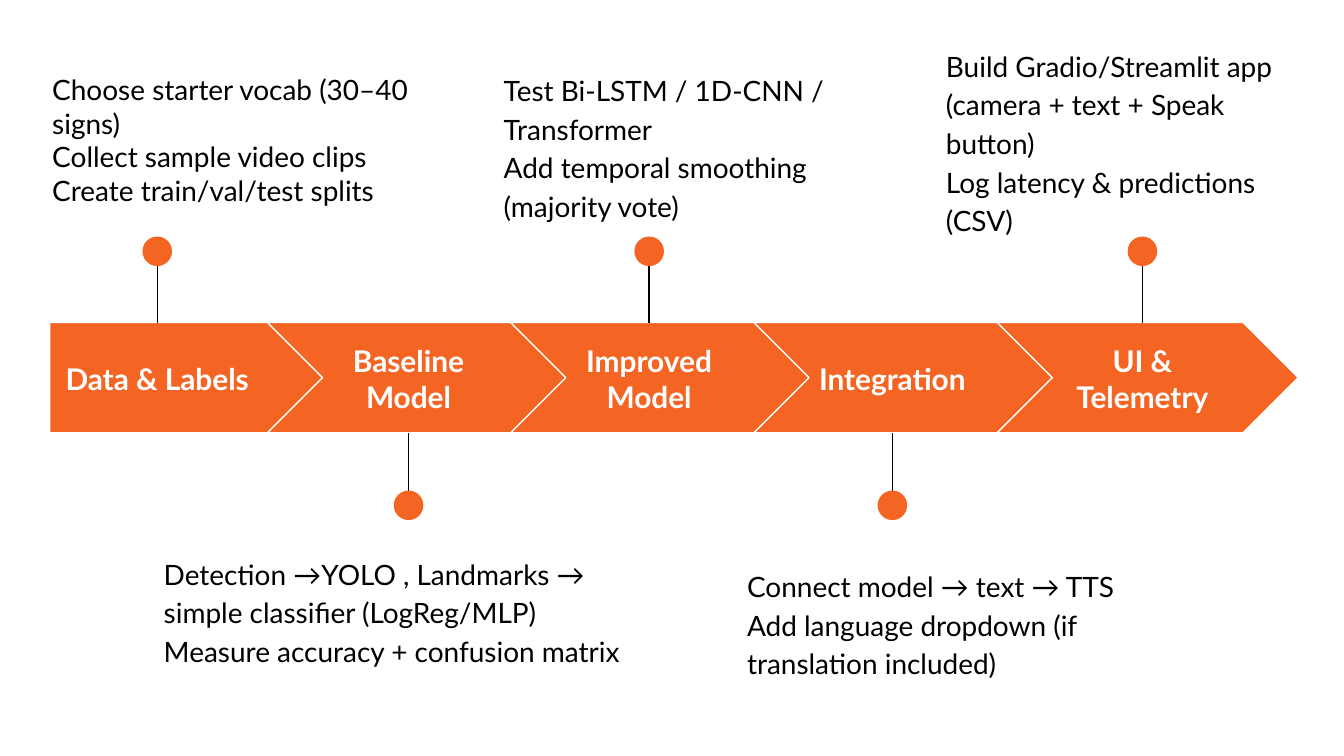
from pptx import Presentation
from pptx.dml.color import RGBColor
from pptx.enum.shapes import MSO_CONNECTOR as Link, MSO_SHAPE as Shape
from pptx.enum.text import MSO_ANCHOR as Anchor, PP_ALIGN as Align
from pptx.oxml.ns import qn
from pptx.util import Inches, Pt
from lxml.etree import SubElement

ORANGE = RGBColor(0xF4, 0x65, 0x24)
WHITE = RGBColor(0xFF, 0xFF, 0xFF)
BLACK = RGBColor(0x00, 0x00, 0x00)

TOP, HIGH = 2.4, 0.82       # arrow band
FIRST, STEP = 1.99, 1.81    # left of first chevron, distance to the next
DOT = 0.22
ABOVE, BELOW = 1.87, 3.76   # dot centres

# label, label width, centre, note box (left, top, width, height), spacing, note
STEPS = [
    ("Data & Labels", 1.59, 1.17, (0.29, 0.44, 3.22, 1.19), 1.0,
     "Choose starter vocab (30–40 signs)\nCollect sample video clips\n"
     "Create train/val/test splits"),
    ("Baseline Model", 1.44, 3.04, (1.12, 4.01, 3.6, 1.19), 1.15,
     "Detection →YOLO , Landmarks → simple classifier (LogReg/MLP)\n"
     "Measure accuracy + confusion matrix"),
    ("Improved Model", 1.44, 4.83, (3.65, 0.41, 3.16, 1.19), 1.15,
     "Test Bi-LSTM / 1D-CNN / Transformer\n"
     "Add temporal smoothing (majority vote)"),
    ("Integration", 1.44, 6.64, (5.46, 4.1, 3.02, 1.33), 1.15,
     "Connect model → text → TTS\n"
     "Add language dropdown (if translation included)"),
    ("UI & Telemetry", 1.44, 8.5, (6.94, 0.23, 2.93, 1.53), 1.15,
     "Build Gradio/Streamlit app (camera + text + Speak button)\n"
     "Log latency & predictions (CSV)"),
]


class Board:
    font = "Lato"

    def __init__(self, slide):
        self.shapes = slide.shapes

    def solid(self, kind, box):
        shape = self.shapes.add_shape(kind, *map(Inches, box))
        shape.shadow.inherit = False
        shape.fill.solid()
        shape.fill.fore_color.rgb = ORANGE
        shape.line.fill.background()
        return shape

    def arrow(self, kind, left, width):
        shape = self.solid(kind, (left, TOP, width, HIGH))
        shape.line.color.rgb = WHITE
        shape.line.width = Pt(0.75)

    def text(self, words, box, size, color):
        frame = self.shapes.add_textbox(*map(Inches, box)).text_frame
        frame.word_wrap = True
        frame.margin_left = frame.margin_right = Inches(0.1)
        frame.margin_top = frame.margin_bottom = Inches(0.1)
        para = frame.paragraphs[0]
        para.text = words
        para.font.name = self.font
        para.font.size = Pt(size)
        para.font.color.rgb = color
        return frame

    def label(self, words, mid, width):
        box = (mid - width / 2, 2.56, width, 0.51)
        frame = self.text(words, box, 16, WHITE)
        frame.vertical_anchor = Anchor.MIDDLE
        para = frame.paragraphs[0]
        para.alignment = Align.CENTER
        para.font.bold = True

    def note(self, words, box, space):
        frame = self.text(words, box, 15, BLACK)
        frame.paragraphs[0].line_spacing = space

    def pin(self, mid, dot, edge):
        """Draw a line from the arrow edge to a dot."""
        line = self.shapes.add_connector(
            Link.STRAIGHT, *map(Inches, (mid, dot, mid, edge)))
        line.line.color.rgb = BLACK
        line.line.width = Pt(0.75)
        SubElement(line._element.spPr, qn("a:effectLst"))
        half = DOT / 2
        self.solid(Shape.OVAL, (mid - half, dot - half, DOT, DOT))


def main():
    deck = Presentation()
    deck.slide_width = Inches(10)
    deck.slide_height = deck.slide_width * 9 // 16
    board = Board(deck.slides.add_slide(deck.slide_layouts[6]))
    for i, (name, width, mid, box, space, words) in enumerate(STEPS):
        if i == 0:
            board.arrow(Shape.PENTAGON, 0.37, 2.05)
        else:
            board.arrow(Shape.CHEVRON, FIRST + (i - 1) * STEP, 2.24)
        board.label(name, mid, width)
        if i % 2 == 0:
            board.pin(mid, ABOVE, TOP)
        else:
            board.pin(mid, BELOW, TOP + HIGH)
        board.note(words, box, space)
    deck.save("out.pptx")


if __name__ == "__main__":
    main()
